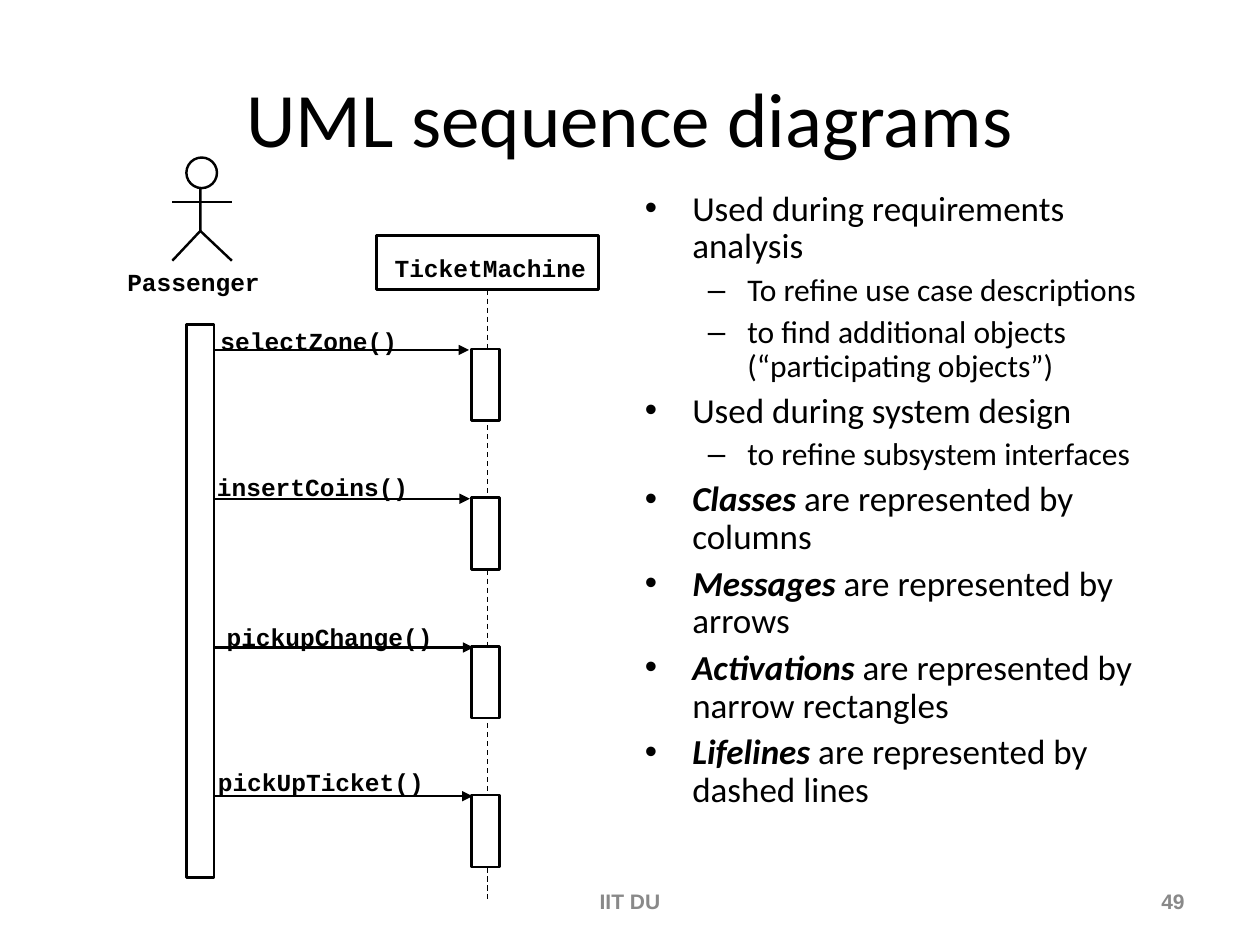
from lxml.etree import SubElement
from pptx import Presentation
from pptx.dml.color import RGBColor
from pptx.enum.dml import MSO_LINE as Dash
from pptx.enum.shapes import MSO_CONNECTOR as Conn, MSO_SHAPE as Kind
from pptx.enum.text import (
    MSO_ANCHOR as Anchor, MSO_AUTO_SIZE as Fit, PP_ALIGN as Align)
from pptx.oxml.ns import qn
from pptx.util import Pt

BLACK = RGBColor(0, 0, 0)
WHITE = RGBColor(255, 255, 255)
GRAY = RGBColor(0x89, 0x89, 0x89)
STROKE = 1.39
TOP, STEP = 200, 85
MID = 278.6

CALLS = [
    ("selectZone()", 126, 186.5, 268),
    ("insertCoins()", 124, 270, 268.5),
    ("pickupChange()", 129.5, 355.5, 270.5),
    ("pickUpTicket()", 124.5, 438.5, 270),
]
POINTS = [
    (0, "", "Used during requirements analysis"),
    (1, "", "To refine use case descriptions"),
    (1, "", "to find additional objects (“participating objects”)"),
    (0, "", "Used during system design"),
    (1, "", "to refine subsystem interfaces"),
    (0, "Classes", " are represented by columns"),
    (0, "Messages", " are represented by arrows"),
    (0, "Activations", " are represented by narrow rectangles"),
    (0, "Lifelines", " are represented by dashed lines"),
]
LEVELS = [("•", 20, 27, 27, 5), ("–", 18, 58.5, 22.5, 4.5)]


def write(para, text, font="Calibri", size=20, color=BLACK, bold=False,
          italic=False, align=None):
    run = para.add_run()
    run.text = text
    face = run.font
    face.name, face.size = font, Pt(size)
    face.bold, face.italic = bold, italic
    face.color.rgb = color
    if align is not None:
        para.alignment = align


def add_box(slide, x, y, w, h, anchor=Anchor.TOP):
    frame = slide.shapes.add_textbox(Pt(x), Pt(y), Pt(w), Pt(h)).text_frame
    frame.word_wrap = True
    frame.vertical_anchor = anchor
    return frame


def add_label(slide, text, x, y):
    frame = add_box(slide, x, y, 8.5 * len(text), 16.5)
    frame.margin_left = frame.margin_right = 0
    frame.margin_top = frame.margin_bottom = 0
    frame.word_wrap = False
    frame.auto_size = Fit.SHAPE_TO_FIT_TEXT
    write(frame.paragraphs[0], text, font="Courier New", size=14, bold=True)


def add_foot(slide, text, x, w, align):
    frame = add_box(slide, x, 500.5, w, 28.75, anchor=Anchor.MIDDLE)
    write(frame.paragraphs[0], text, font="Arial", size=12, color=GRAY,
          bold=True, align=align)


def add_shape(slide, kind, x, y, w, h, fill=WHITE):
    shape = slide.shapes.add_shape(kind, Pt(x), Pt(y), Pt(w), Pt(h))
    shape.shadow.inherit = False
    if fill is None:
        shape.fill.background()
    else:
        shape.fill.solid()
        shape.fill.fore_color.rgb = fill
    shape.line.color.rgb = BLACK
    shape.line.width = Pt(STROKE)
    return shape


def add_line(slide, x1, y1, x2, y2, width=STROKE, arrow=False):
    line = slide.shapes.add_connector(
        Conn.STRAIGHT, Pt(x1), Pt(y1), Pt(x2), Pt(y2))
    line.line.color.rgb = BLACK
    line.line.width = Pt(width)
    props = line._element.spPr
    if arrow:
        SubElement(props.find(qn("a:ln")), qn("a:tailEnd"), type="triangle")
    SubElement(props, qn("a:effectLst"))
    return line


def add_title(slide, text):
    title = slide.shapes.title
    title.left, title.top = Pt(36), Pt(21.6)
    title.width, title.height = Pt(648), Pt(90)
    title.text_frame.vertical_anchor = Anchor.MIDDLE
    write(title.text_frame.paragraphs[0], text, size=44, align=Align.CENTER)


def add_points(slide):
    frame = add_box(slide, 361.5, 105.5, 319, 378)
    for i, (level, lead, text) in enumerate(POINTS):
        mark, size, left, hang, gap = LEVELS[level]
        para = frame.add_paragraph() if i else frame.paragraphs[0]
        para.level = level
        props = para._p.get_or_add_pPr()
        props.set("marL", str(Pt(left)))
        props.set("indent", str(-Pt(hang)))
        SubElement(props, qn("a:buFont"), typeface="Arial")
        SubElement(props, qn("a:buChar"), char=mark)
        para.line_spacing = 0.9
        para.space_before = Pt(gap if i else 0)
        if lead:
            write(para, lead, size=size, bold=True, italic=True)
        write(para, text, size=size)


def add_actor(slide):
    pen = slide.shapes.build_freeform(Pt(114.5), Pt(102))
    pen.add_line_segments(
        [(Pt(114.5), Pt(132)), (Pt(98.5), Pt(149))], close=False)
    body = pen.convert_to_shape()
    body.shadow.inherit = False
    body.fill.background()
    body.line.color.rgb = BLACK
    body.line.width = Pt(STROKE)
    add_line(slide, 114.5, 132, 132.5, 149)
    add_line(slide, 98.5, 115.5, 132.5, 115.5)
    add_shape(slide, Kind.OVAL, 106.5, 90, 17.5, 17.5)
    add_label(slide, "Passenger", 72.75, 152.75)
    add_shape(slide, Kind.RECTANGLE, 106.5, 185.5, 16, 316)


def add_machine(slide):
    head = add_shape(slide, Kind.RECTANGLE, MID - 63.4, 134.5, 126.8, 31,
                     fill=None)
    add_label(slide, "TicketMachine", 225.5, 144.75)
    life = add_line(slide, MID, 165.5, MID, 514, width=0.75)
    life.line.dash_style = Dash.DASH
    life.begin_connect(head, 2)
    for i in range(len(CALLS)):
        add_shape(slide, Kind.RECTANGLE, 269.5, TOP - 0.6 + i * STEP, 16, 41)


def add_calls(slide):
    for i, (text, x, y, end) in enumerate(CALLS):
        level = TOP + i * STEP
        add_line(slide, 122, level, end, level, arrow=True)
        add_label(slide, text, x, y)


def main():
    deck = Presentation()
    deck.slide_width, deck.slide_height = Pt(720), Pt(540)
    slide = deck.slides.add_slide(deck.slide_layouts[5])
    add_title(slide, "UML sequence diagrams")
    add_points(slide)
    add_calls(slide)
    add_actor(slide)
    add_machine(slide)
    add_foot(slide, "49", 516, 168, Align.RIGHT)
    add_foot(slide, "IIT DU", 246, 228, Align.CENTER)
    deck.save("out.pptx")


if __name__ == "__main__":
    main()
